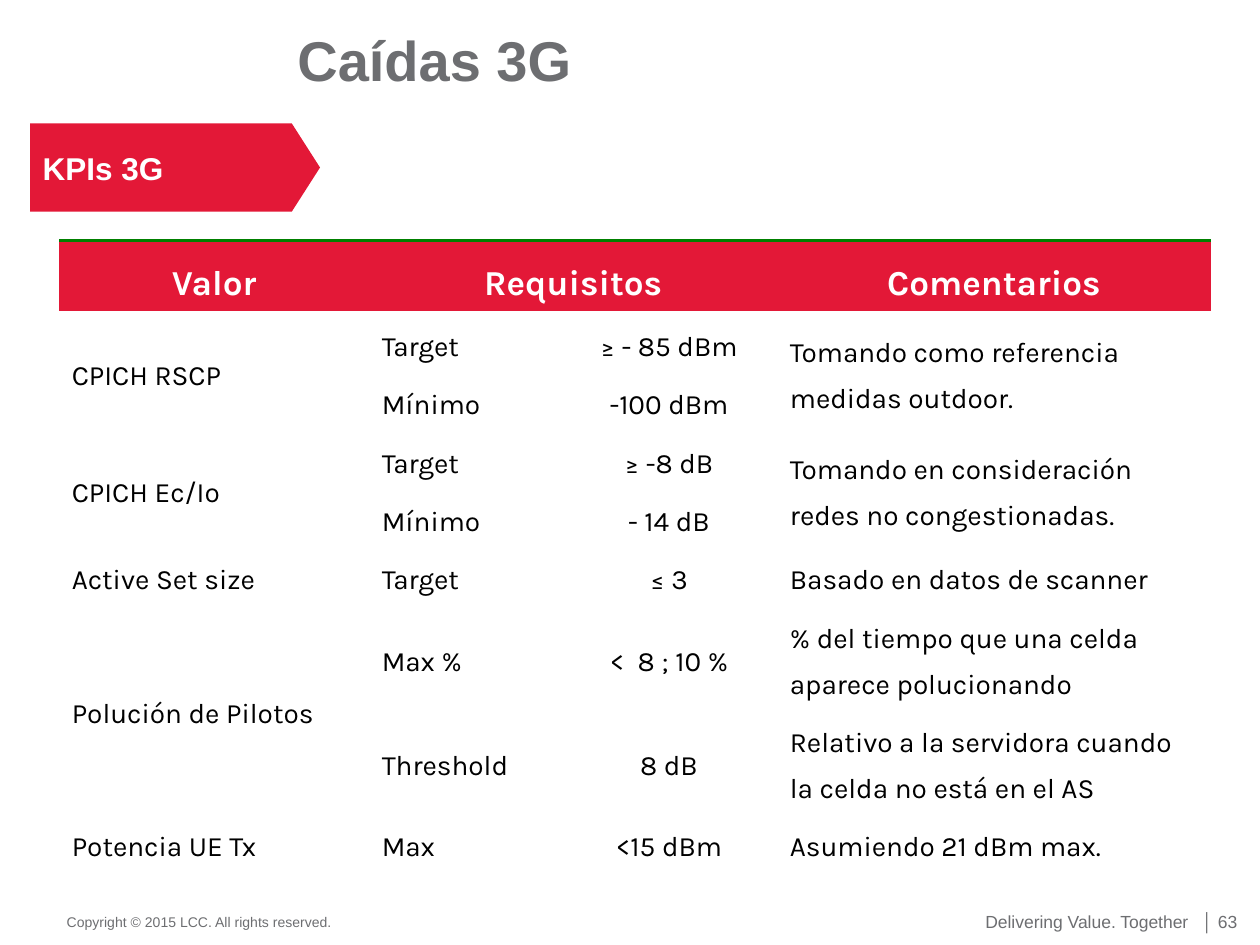
import pptx
import pptx.util
import pptx.dml.color
import pptx.enum.shapes
import pptx.enum.text
import pptx.oxml
import pptx.oxml.ns

Inches, Pt = pptx.util.Inches, pptx.util.Pt
RGB = pptx.dml.color.RGBColor
ALIGN, ANCHOR = pptx.enum.text.PP_ALIGN, pptx.enum.text.MSO_ANCHOR
RED = RGB(0xE3, 0x18, 0x37)
GREEN = RGB(0x00, 0x80, 0x00)
GRAY = RGB(0x6D, 0x6E, 0x71)
WHITE = RGB(0xFF, 0xFF, 0xFF)
BLACK = RGB(0x00, 0x00, 0x00)


def style(frame, size, color, bold=False, font="Arial", align=ALIGN.LEFT):
    for par in frame.paragraphs:
        par.alignment = align
        for run in par.runs:
            run.font.size = Pt(size)
            run.font.bold = bold
            run.font.name = font
            run.font.color.rgb = color


def inset(frame):
    frame.margin_left = frame.margin_right = 0
    frame.margin_top = frame.margin_bottom = 0


deck = pptx.Presentation()
deck.slide_width, deck.slide_height = Inches(10), Inches(7.5)
slide = deck.slides.add_slide(deck.slide_layouts[5])

# Title
title = slide.shapes.title
title.left, title.top = Inches(2.36), Inches(0.2)
title.width, title.height = Inches(3.57), Inches(0.54)
frame = title.text_frame
frame.text = "Caídas 3G"
inset(frame)
frame.vertical_anchor = ANCHOR.TOP
style(frame, 32, GRAY, bold=True)

# Section tag
tag = slide.shapes.add_shape(
    pptx.enum.shapes.MSO_SHAPE.PENTAGON,
    Inches(0.24), Inches(0.98), Inches(2.3), Inches(0.7))
tag.adjustments[0] = 0.32
tag.shadow.inherit = False
tag.fill.solid()
tag.fill.fore_color.rgb = RED
tag.line.fill.background()
tag.text_frame.text = "KPIs 3G"
tag.text_frame.vertical_anchor = ANCHOR.MIDDLE
style(tag.text_frame, 18, WHITE, bold=True)

# KPI table: an empty string continues the merged cell above or to the left
rows = [
    ("Valor", "Requisitos", "", "Comentarios"),
    ("CPICH RSCP", "Target", "≥ - 85 dBm",
     "Tomando como referencia medidas outdoor."),
    ("", "Mínimo", "-100 dBm", ""),
    ("CPICH Ec/Io", "Target", "≥ -8 dB",
     "Tomando en consideración redes no congestionadas."),
    ("", "Mínimo", "- 14 dB", ""),
    ("Active Set size", "Target", "≤ 3", "Basado en datos de scanner"),
    ("Polución de Pilotos", "Max %", "<  8 ; 10 %",
     "% del tiempo que una celda aparece polucionando"),
    ("", "Threshold", "8 dB",
     "Relativo a la servidora cuando la celda no está en el AS"),
    ("Potencia UE Tx", "Max", "<15 dBm", "Asumiendo 21 dBm max."),
]
wide = [2.46, 1.52, 1.72, 3.44]
high = [0.56] + [0.46] * 5 + [0.82] * 2 + [0.46]
table = slide.shapes.add_table(
    len(rows), len(wide), Inches(0.47), Inches(1.91),
    Inches(sum(wide)), Inches(sum(high))).table
table.first_row = table.horz_banding = False
qn = pptx.oxml.ns.qn
table._tbl.tblPr.find(qn("a:tableStyleId")).text = (
    "{2D5ABB26-0587-4C30-8999-92F81FD0307C}")  # no style, no grid
for col, size in zip(table.columns, wide):
    col.width = Inches(size)
for row, size in zip(table.rows, high):
    row.height = Inches(size)

EDGE = (f'<a:lnT {pptx.oxml.ns.nsdecls("a")} w="{Pt(2)}"><a:solidFill>'
        f'<a:srgbClr val="{GREEN}"/></a:solidFill></a:lnT>')
for r, row in enumerate(rows):
    head = r == 0
    for c, text in enumerate(row):
        cell = table.cell(r, c)
        cell.vertical_anchor = ANCHOR.MIDDLE
        if head:
            cell._tc.get_or_add_tcPr().append(pptx.oxml.parse_xml(EDGE))
            cell.fill.solid()
            cell.fill.fore_color.rgb = RED
        else:
            cell.fill.background()
        if not text:
            continue
        cell.text_frame.text = text
        cell.text_frame.paragraphs[0].line_spacing = 1.4
        style(cell.text_frame, 20 if head else 16, WHITE if head else BLACK,
              head, "Karla", ALIGN.CENTER if head or c == 2 else ALIGN.LEFT)

table.cell(0, 1).merge(table.cell(0, 2))
for r, c in [(1, 0), (1, 3), (3, 0), (3, 3), (6, 0)]:
    table.cell(r, c).merge(table.cell(r + 1, c))

# Footer
notes = [
    ("Copyright © 2015 LCC. All rights reserved.",
     0.53, 7.25, 2.13, 0.13, 8, ALIGN.LEFT),
    ("Delivering Value. Together", 7.72, 7.23, 1.71, 0.17, 10, ALIGN.RIGHT),
    ("│ 63", 9.43, 7.23, 0.39, 0.17, 10, ALIGN.RIGHT),
]
for text, x, y, w, h, size, align in notes:
    box = slide.shapes.add_textbox(Inches(x), Inches(y), Inches(w), Inches(h))
    box.text_frame.text = text
    box.text_frame.word_wrap = False
    box.text_frame.vertical_anchor = ANCHOR.MIDDLE
    inset(box.text_frame)
    style(box.text_frame, size, GRAY, align=align)

deck.save("out.pptx")
